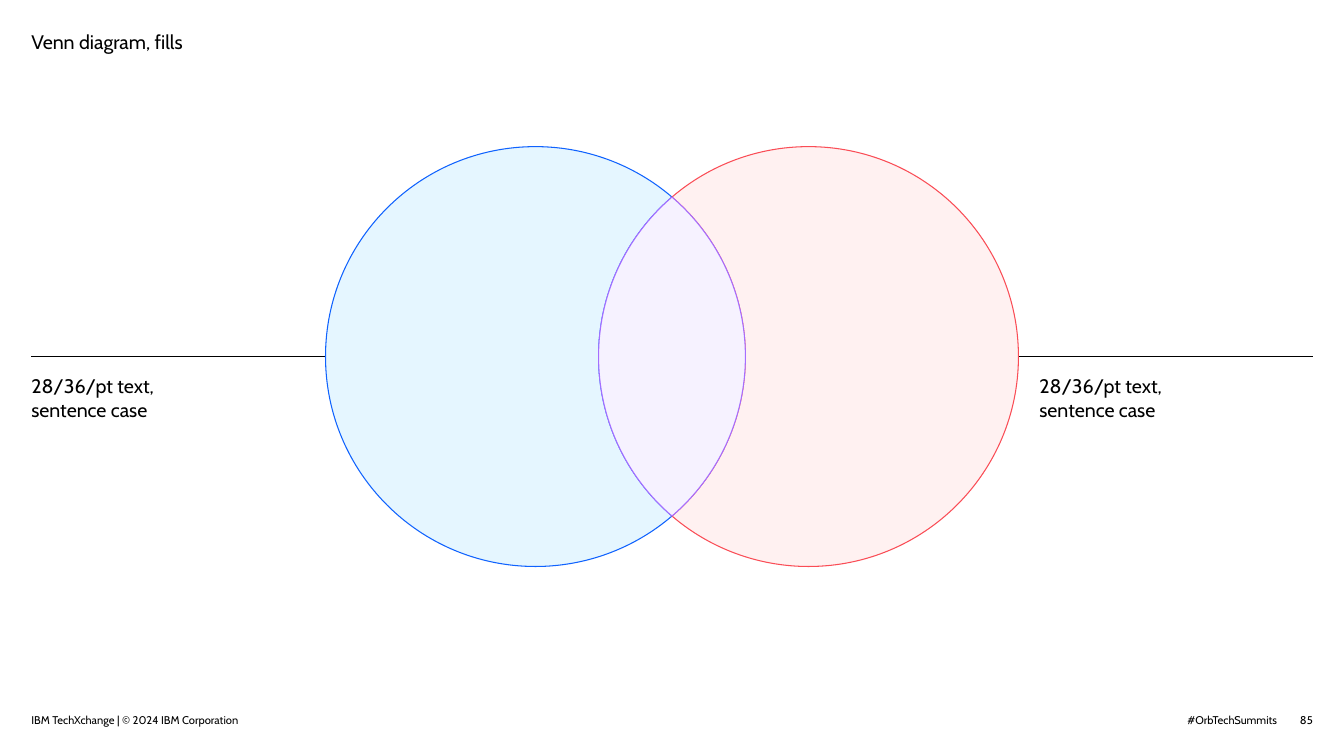
"""Build the two-circle Venn diagram slide."""
import math
from dataclasses import dataclass

import pptx
import pptx.dml.color
import pptx.enum.shapes
import pptx.enum.text
import pptx.oxml.ns
import pptx.util
from lxml import etree

Cm = pptx.util.Cm
Pt = pptx.util.Pt
qn = pptx.oxml.ns.qn
ALIGN = pptx.enum.text.PP_ALIGN
ANCHOR = pptx.enum.text.MSO_ANCHOR
Point = tuple[int, int]


@dataclass(frozen=True)
class Theme:
    font: str = "Cabin"
    ink: str = "000000"
    blue_fill: str = "E5F6FF"
    blue_line: str = "0F62FE"
    red_fill: str = "FFF1F1"
    red_line: str = "FA4D56"
    purple_fill: str = "F6F2FF"
    purple_line: str = "A56EFF"
    body: int = 28
    small: int = 16
    rule: float = 1
    outline: float = 1.5


@dataclass(frozen=True)
class Arc:
    cx: float
    start: float
    end: float


@dataclass(frozen=True)
class Region:
    arcs: tuple[Arc, Arc]
    fill: str
    line: str


@dataclass(frozen=True)
class Label:
    text: str
    box: tuple[float, float, float, float]
    size: int
    align: ALIGN = ALIGN.LEFT
    anchor: ANCHOR = ANCHOR.TOP
    wrap: bool = True


THEME = Theme()
WIDTH, HEIGHT, MARGIN = 67.73, 38.1, 1.58
RIGHT = WIDTH - MARGIN
COLUMN = 13.77
RADIUS, OFFSET, MIDDLE_Y = 10.58, 6.88, 17.97
LEFT_CX, RIGHT_CX = WIDTH / 2 - OFFSET, WIDTH / 2 + OFFSET
TIP = math.acos(OFFSET / RADIUS)

REGIONS = (
    Region((Arc(LEFT_CX, TIP, 2 * math.pi - TIP),
            Arc(RIGHT_CX, math.pi + TIP, math.pi - TIP)),
           THEME.blue_fill, THEME.blue_line),
    Region((Arc(RIGHT_CX, math.pi + TIP, 3 * math.pi - TIP),
            Arc(LEFT_CX, TIP, -TIP)),
           THEME.red_fill, THEME.red_line),
    Region((Arc(LEFT_CX, -TIP, TIP),
            Arc(RIGHT_CX, math.pi - TIP, math.pi + TIP)),
           THEME.purple_fill, THEME.purple_line),
)
RULES = ((RIGHT_CX + RADIUS, RIGHT), (MARGIN, LEFT_CX - RADIUS))
CAPTION = "28/36/pt text, \vsentence case"
LABELS = (
    Label(CAPTION, (MARGIN, 18.86, COLUMN, 14.27), THEME.body),
    Label(CAPTION, (RIGHT - COLUMN, 18.86, COLUMN, 14.27), THEME.body),
    Label("IBM TechXchange | © 2024 IBM Corporation",
          (MARGIN, 35.56, COLUMN, 1.07), THEME.small, anchor=ANCHOR.BOTTOM),
    Label("#OrbTechSummits", (59.23, 35.94, 5.13, 0.69), THEME.small,
          align=ALIGN.RIGHT),
    Label("85", (65.4, 35.94, 0.76, 0.69), THEME.small, align=ALIGN.RIGHT,
          anchor=ANCHOR.MIDDLE, wrap=False),
)


def rgb(value: str) -> pptx.dml.color.RGBColor:
    """Return the colour for a hex value."""
    return pptx.dml.color.RGBColor.from_string(value)


def write(sp, text: str, *, box: tuple[float, float, float, float], size: int,
          align: ALIGN = ALIGN.LEFT, anchor: ANCHOR = ANCHOR.TOP,
          wrap: bool = True, spacing: float = 1.0) -> None:
    """Place a text shape and write formatted text in it."""
    sp.left, sp.top, sp.width, sp.height = (Cm(v) for v in box)
    tf = sp.text_frame
    tf.margin_left = tf.margin_right = tf.margin_top = tf.margin_bottom = 0
    tf.auto_size = pptx.enum.text.MSO_AUTO_SIZE.NONE
    tf.word_wrap = wrap
    tf.vertical_anchor = anchor
    p = tf.paragraphs[0]
    p.text = text
    p.alignment = align
    p.line_spacing = spacing
    for r in p.runs:
        r.font.name = THEME.font
        r.font.size = Pt(size)
        r.font.color.rgb = rgb(THEME.ink)


def add_label(s, label: Label) -> None:
    """Add a text box for a label."""
    sp = s.shapes.add_textbox(0, 0, 0, 0)
    write(sp, label.text, box=label.box, size=label.size, align=label.align,
          anchor=label.anchor, wrap=label.wrap)


def arc_point(arc: Arc, angle: float, pull: float = 0) -> Point:
    """Return a circle point, moved along its tangent by a share of the radius."""
    x = math.cos(angle) - pull * math.sin(angle)
    y = math.sin(angle) + pull * math.cos(angle)
    return Cm(arc.cx + RADIUS * x), Cm(MIDDLE_Y + RADIUS * y)


def arc_curves(arc: Arc) -> list[tuple[Point, Point, Point]]:
    """Return Bezier curves for an arc, split at the quarter points."""
    low, high = sorted((arc.start, arc.end))
    quarters = [q * math.pi / 2 for q in range(-1, 6)]
    stops = [low, *(q for q in quarters if low < q < high), high]
    if arc.end < arc.start:
        stops.reverse()
    curves = []
    for a, b in zip(stops, stops[1:]):
        pull = 4 / 3 * math.tan((b - a) / 4)
        curves.append((arc_point(arc, a, pull), arc_point(arc, b, -pull),
                       arc_point(arc, b)))
    return curves


def add_region(s, region: Region) -> None:
    """Add a filled region bounded by two arcs."""
    curves = [curve for arc in region.arcs for curve in arc_curves(arc)]
    first = region.arcs[0]
    builder = s.shapes.build_freeform(*arc_point(first, first.start))
    builder.add_line_segments([end for _, _, end in curves], close=True)
    sp = builder.convert_to_shape()
    for segment, curve in zip(list(sp._element.iter(qn("a:lnTo"))), curves):
        bezier = etree.Element(qn("a:cubicBezTo"))
        for x, y in curve:
            etree.SubElement(bezier, qn("a:pt"), x=str(x - sp.left),
                             y=str(y - sp.top))
        segment.getparent().replace(segment, bezier)
    sp.shadow.inherit = False
    sp.fill.solid()
    sp.fill.fore_color.rgb = rgb(region.fill)
    sp.line.color.rgb = rgb(region.line)
    sp.line.width = Pt(THEME.outline)


def add_rule(s, x1: float, x2: float) -> None:
    """Add a horizontal rule at the height of the circle centres."""
    line = s.shapes.add_connector(pptx.enum.shapes.MSO_CONNECTOR.STRAIGHT,
                                  Cm(x1), Cm(MIDDLE_Y), Cm(x2), Cm(MIDDLE_Y))
    line.line.color.rgb = rgb(THEME.ink)
    line.line.width = Pt(THEME.rule)
    etree.SubElement(line._element.spPr, qn("a:effectLst"))


def main() -> None:
    """Build and save the slide."""
    prs = pptx.Presentation()
    prs.slide_width, prs.slide_height = Cm(WIDTH), Cm(HEIGHT)
    s = prs.slides.add_slide(prs.slide_layouts[5])
    write(s.shapes.title, "Venn diagram, fills",
          box=(MARGIN, 1.4, COLUMN, 4.24), size=THEME.body, spacing=1.1)
    for x1, x2 in RULES:
        add_rule(s, x1, x2)
    for region in REGIONS:
        add_region(s, region)
    for label in LABELS:
        add_label(s, label)
    prs.save("out.pptx")


if __name__ == "__main__":
    main()
